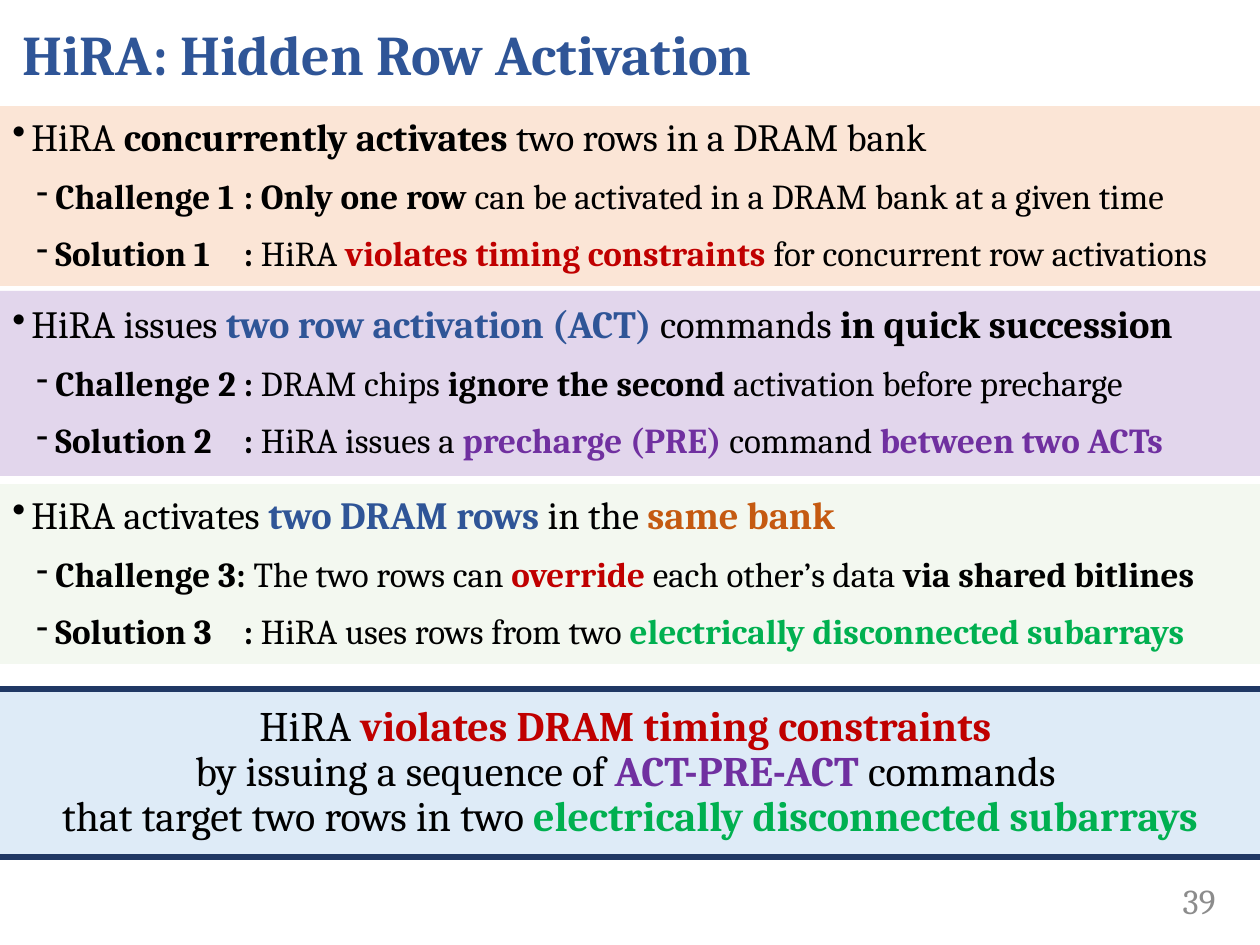
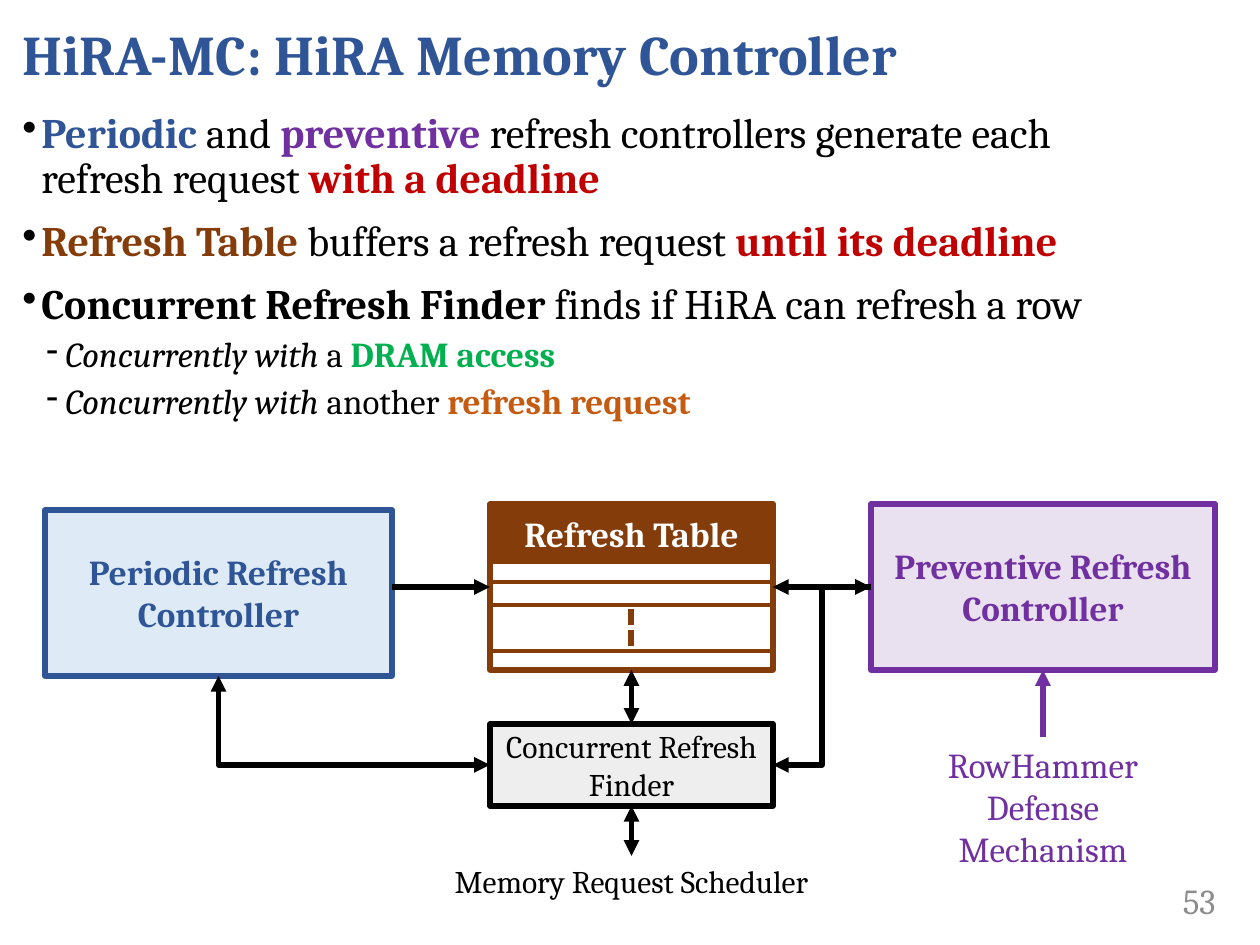
from dataclasses import dataclass

from lxml import etree
from pptx import Presentation
from pptx.dml.color import RGBColor
from pptx.enum.dml import MSO_LINE
from pptx.enum.shapes import MSO_CONNECTOR, MSO_SHAPE
from pptx.enum.text import MSO_ANCHOR, PP_ALIGN
from pptx.oxml.ns import qn
from pptx.util import Pt

EMU_PER_PX = 914400 / 126
FONT = "Cambria"

BLACK = RGBColor(0, 0, 0)
WHITE = RGBColor(255, 255, 255)
GREY = RGBColor(0x8C, 0x8C, 0x8C)
BLUE = RGBColor(0x2F, 0x55, 0x97)
NAVY = RGBColor(0x20, 0x38, 0x64)
RED = RGBColor(0xC0, 0, 0)
PURPLE = RGBColor(0x70, 0x30, 0xA0)
GREEN = RGBColor(0, 0xB0, 0x50)
ORANGE = RGBColor(0xC5, 0x5A, 0x11)
BROWN = RGBColor(0x84, 0x3C, 0x0B)
PEACH = RGBColor(0xFB, 0xE5, 0xD6)
LILAC = RGBColor(0xE2, 0xD6, 0xEC)
LEAF = RGBColor(0xC5, 0xE0, 0xB4)
PALE_BLUE = RGBColor(0xDE, 0xEB, 0xF7)
PALE_GREY = RGBColor(0xEE, 0xEE, 0xEE)

LEFT, CENTER, RIGHT = PP_ALIGN.LEFT, PP_ALIGN.CENTER, PP_ALIGN.RIGHT
TOP, MIDDLE = MSO_ANCHOR.TOP, MSO_ANCHOR.MIDDLE
RECTANGLE = MSO_SHAPE.RECTANGLE
STRAIGHT, ELBOW = MSO_CONNECTOR.STRAIGHT, MSO_CONNECTOR.ELBOW
DOTTED = MSO_LINE.SQUARE_DOT
SIDE_TOP, SIDE_LEFT, SIDE_BOTTOM, SIDE_RIGHT = range(4)

BULLETS = [("•", 19), ("-", 43)]  # character and text indent of each level
HANGING = 19
COLON_TAB = 231


def px(length):
    return round(length * EMU_PER_PX)


@dataclass
class Box:
    left: int
    top: int
    width: int
    height: int

    def inner(self, left, top, width, height):
        """Return a box whose position is measured from this one."""
        return Box(self.left + left, self.top + top, width, height)

    def point(self, left, top):
        return self.left + left, self.top + top

    def emu(self):
        return [px(n) for n in (self.left, self.top, self.width, self.height)]


def styled(text, color=BLACK, bold=True, italic=False):
    """Return a highlighted span; plain strings stay regular."""
    return text, color, bold, italic


def add_bullet(para, level, tab):
    mark, indent = BULLETS[level]
    para.level = level
    props = para._p.get_or_add_pPr()
    props.set("marL", str(px(indent)))
    props.set("indent", str(-px(HANGING)))
    color = etree.SubElement(props, qn("a:buClr"))
    etree.SubElement(color, qn("a:srgbClr"), val=str(BLACK))
    etree.SubElement(props, qn("a:buChar"), char=mark)
    if tab:
        tabs = etree.SubElement(props, qn("a:tabLst"))
        etree.SubElement(tabs, qn("a:tab"), pos=str(px(tab)), algn="l")


def write(frame, *spans, size=20, color=BLACK, bold=False, align=LEFT,
          level=None, tab=None, spacing=None, before=0, after=0):
    """Add one paragraph; a line feed in a span breaks the line."""
    first = not frame.paragraphs[0].runs
    para = frame.paragraphs[0] if first else frame.add_paragraph()
    if level is not None:
        add_bullet(para, level, tab)
    para.alignment = align
    para.line_spacing = spacing
    para.space_before = Pt(0 if first else before)
    para.space_after = Pt(after)
    for span in spans:
        if isinstance(span, str):
            span = (span, color, bold, False)
        text, span_color, span_bold, italic = span
        for number, line in enumerate(text.split("\n")):
            if number:
                para.add_line_break()
            if line:
                run = para.add_run()
                run.text = line
                run.font.name = FONT
                run.font.size = Pt(size)
                run.font.bold = span_bold
                run.font.italic = italic
                run.font.color.rgb = span_color


def add_text(page, box, anchor=MIDDLE):
    shape = page.shapes.add_textbox(*box.emu())
    shape.text_frame.word_wrap = True
    shape.text_frame.vertical_anchor = anchor
    return shape


def add_rectangle(page, box, fill=None, opacity=None, line=None):
    shape = page.shapes.add_shape(RECTANGLE, *box.emu())
    shape.shadow.inherit = False
    shape.text_frame.vertical_anchor = MIDDLE
    shape.text_frame.word_wrap = True
    if fill is None:
        shape.fill.background()
    else:
        shape.fill.solid()
        shape.fill.fore_color.rgb = fill
    if opacity:
        color = shape._element.spPr.find(qn("a:solidFill"))[0]
        etree.SubElement(color, qn("a:alpha"), val=str(opacity * 1000))
    if line is None:
        shape.line.fill.background()
    else:
        shape.line.color.rgb = line
        shape.line.width = Pt(3)
    return shape


def link(page, start, end, color=BLACK, width=3, kind=STRAIGHT, preset=None,
         dash=None, head=False, tail=False):
    """Join two ends, each a point (x, y) or a pair (shape, side)."""
    joined = [not isinstance(spot[0], int) for spot in (start, end)]
    points = [(0, 0) if on_shape else spot
              for on_shape, spot in zip(joined, (start, end))]
    line = page.shapes.add_connector(kind, *[px(n) for xy in points for n in xy])
    if joined[0]:
        line.begin_connect(*start)
    if joined[1]:
        line.end_connect(*end)
    line.line.color.rgb = color
    line.line.width = Pt(width)
    if dash:
        line.line.dash_style = dash
    props = line._element.spPr
    if preset:
        props.find(qn("a:prstGeom")).set("prst", preset)
    for tag, shown in (("a:headEnd", head), ("a:tailEnd", tail)):
        if shown:
            etree.SubElement(props.find(qn("a:ln")), qn(tag), type="triangle")
    etree.SubElement(props, qn("a:effectLst"))


def start_page(deck, title, number):
    page = deck.slides.add_slide(deck.slide_layouts[6])
    heading = add_text(page, Box(10, 0, 1239, 106))
    write(heading.text_frame, title, size=32, color=BLUE, bold=True, after=6)
    footer = add_text(page, Box(1092, 876, 136, 50))
    write(footer.text_frame, str(number), color=GREY, align=RIGHT)
    return page


def add_band(page, box, fill, point, challenge, solution, opacity=None, last_after=6):
    frame = add_rectangle(page, box, fill, opacity).text_frame
    write(frame, *point, size=22, level=0, tab=COLON_TAB, spacing=0.9, after=6)
    for spans, after in ((challenge, 6), (solution, last_after)):
        write(frame, *spans, level=1, tab=COLON_TAB, spacing=0.9, before=5, after=after)


def add_summary(page, box):
    frame = add_rectangle(page, box, PALE_BLUE).text_frame
    write(frame, "HiRA ", styled("violates DRAM timing constraints \n", RED),
          "by issuing a sequence of ", styled("ACT-PRE-ACT", PURPLE),
          " commands \nthat target two rows in two ",
          styled("electrically disconnected subarrays", GREEN),
          size=24, align=CENTER, spacing=0.9)
    for edge in (0, box.height):
        link(page, box.point(0, edge), box.point(box.width, edge), NAVY)


def add_activation_page(deck):
    page = start_page(deck, "HiRA: Hidden Row Activation", 39)
    add_band(
        page, Box(0, 106, 1260, 180), PEACH,
        ["HiRA ", styled("concurrently activates "), "two rows in a DRAM bank"],
        [styled("Challenge 1\t: Only one row "),
         "can be activated in a DRAM bank at a given time"],
        [styled("Solution 1\t: "), "HiRA ", styled("violates timing constraints ", RED),
         "for concurrent row activations"])
    add_band(
        page, Box(0, 291, 1260, 185), LILAC,
        ["HiRA issues ", styled("two row activation (ACT) ", BLUE), "commands ",
         styled("in quick succession")],
        [styled("Challenge 2\t:"), " DRAM chips ", styled("ignore the second "),
         "activation before precharge"],
        [styled("Solution 2\t:"), " HiRA issues a ", styled("precharge (PRE) ", PURPLE),
         "command ", styled("between two ACTs", PURPLE)],
        last_after=12)
    add_band(
        page, Box(0, 484, 1260, 180), LEAF,
        ["HiRA activates ", styled("two DRAM rows ", BLUE), "in the ",
         styled("same bank", ORANGE)],
        [styled("Challenge 3: "), "The two rows can ", styled("override", RED),
         " each other’s data ", styled("via shared bitlines")],
        [styled("Solution 3\t: "), "HiRA uses rows from two ",
         styled("electrically disconnected subarrays", GREEN)],
        opacity=20)
    add_summary(page, Box(0, 689, 1260, 168))


def add_controller_points(page, box):
    frame = add_text(page, box, TOP).text_frame
    points = [
        [styled("Periodic", BLUE), " and ", styled("preventive", PURPLE),
         " refresh controllers generate each\nrefresh request ",
         styled("with a deadline", RED)],
        [styled("Refresh Table ", BROWN), "buffers a refresh request ",
         styled("until its deadline", RED)],
        [styled("Concurrent Refresh Finder "), "finds if HiRA can refresh a row"],
    ]
    for spans in points:
        write(frame, *spans, size=24, level=0, spacing=0.9, before=10)
    for other, target in (("a", styled(" DRAM access", GREEN)),
                          ("another", styled(" refresh request", ORANGE))):
        write(frame, styled("Concurrently with ", bold=False, italic=True), other,
              target, level=1, spacing=0.9, before=5)


def add_refresh_table(page, box):
    table = add_rectangle(page, box, line=BROWN)
    header = add_rectangle(page, box.inner(0, 1, box.width, 56), BROWN, line=BROWN)
    write(header.text_frame, "Refresh Table", color=WHITE, bold=True, align=CENTER)
    for row in (78, 101, 147):
        link(page, box.point(0, row), box.point(box.width, row), BROWN, 2.25)
    middle = box.width // 2
    link(page, box.point(middle, 105), box.point(middle, 145), BROWN, dash=DOTTED)
    return table


def add_controller_diagram(page, box):
    periodic = add_rectangle(page, box.inner(0, 6, 347, 166), PALE_BLUE, line=BLUE)
    write(periodic.text_frame, "Periodic Refresh\nController",
          color=BLUE, bold=True, align=CENTER)
    preventive = add_rectangle(page, box.inner(826, 0, 344, 166), PURPLE, 15, PURPLE)
    write(preventive.text_frame, "Preventive Refresh\nController",
          color=PURPLE, bold=True, align=CENTER)
    table = add_refresh_table(page, box.inner(445, 0, 283, 166))
    finder = add_rectangle(page, box.inner(445, 220, 283, 82), PALE_GREY, line=BLACK)
    write(finder.text_frame, "Concurrent Refresh Finder", size=18, align=CENTER)
    defense = add_text(page, box.inner(848, 233, 300, 140), TOP)
    for line in ("RowHammer", "Defense Mechanism"):
        write(defense.text_frame, line, color=PURPLE, align=CENTER)
    scheduler = add_text(page, box.inner(346, 352, 481, 50))
    write(scheduler.text_frame, "Memory Request Scheduler", size=18, align=CENTER)

    link(page, (defense, SIDE_TOP), (preventive, SIDE_BOTTOM), PURPLE, tail=True)
    link(page, box.point(347, 83), (table, SIDE_LEFT), tail=True)
    link(page, (preventive, SIDE_LEFT), (table, SIDE_RIGHT), tail=True)
    link(page, (preventive, SIDE_LEFT), (finder, SIDE_RIGHT),
         kind=ELBOW, head=True, tail=True)
    link(page, (finder, SIDE_LEFT), (periodic, SIDE_BOTTOM),
         kind=ELBOW, preset="bentConnector2", head=True, tail=True)
    for upper, lower in ((table, finder), (finder, scheduler)):
        link(page, (upper, SIDE_BOTTOM), (lower, SIDE_TOP), head=True, tail=True)


def add_controller_page(deck):
    page = start_page(deck, "HiRA-MC: HiRA Memory Controller", 53)
    add_controller_points(page, Box(10, 106, 1239, 423))
    add_controller_diagram(page, Box(45, 504, 1170, 402))


def main():
    deck = Presentation()
    deck.slide_width, deck.slide_height = px(1260), px(945)
    add_activation_page(deck)
    add_controller_page(deck)
    deck.save("out.pptx")


if __name__ == "__main__":
    main()
